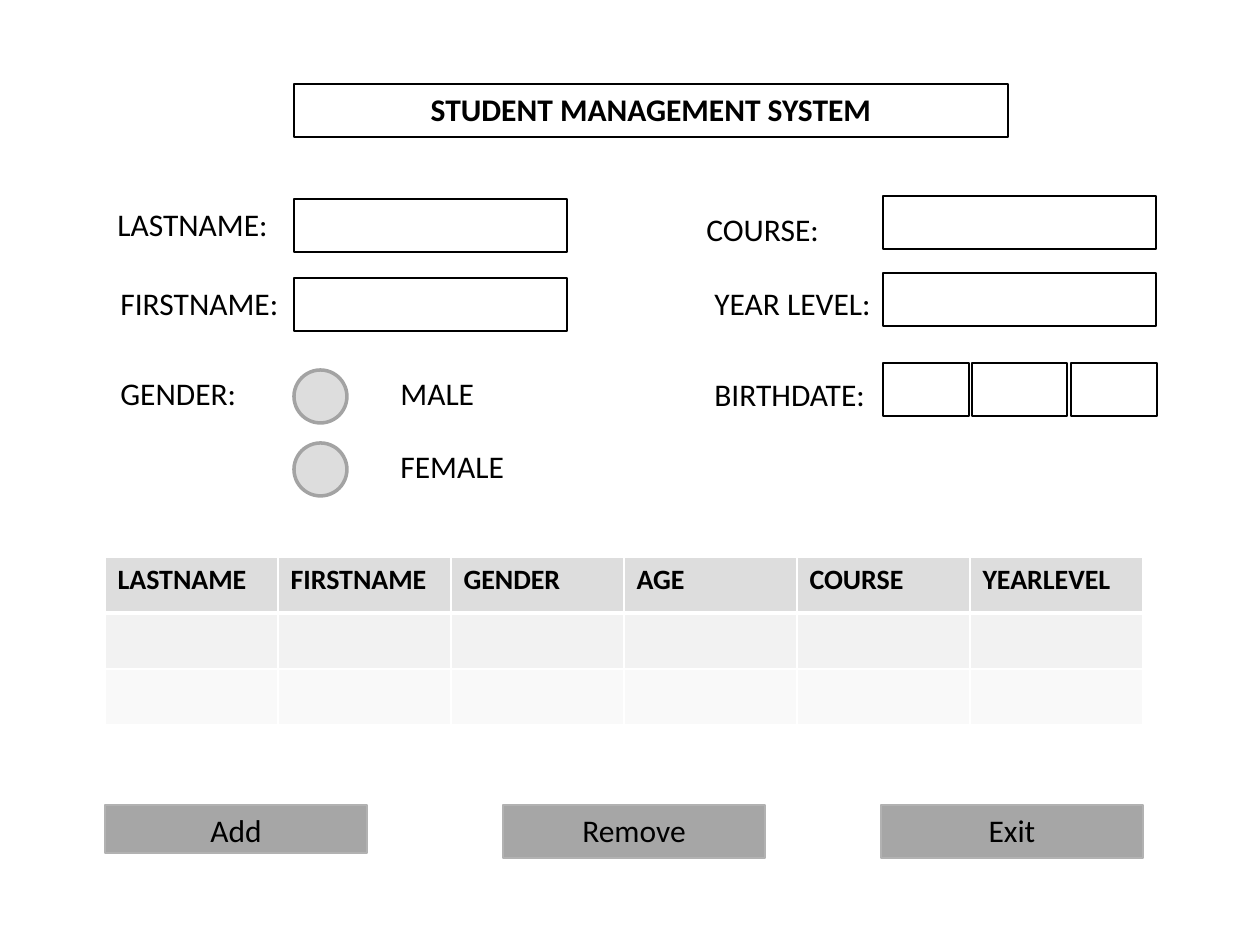
from pptx import Presentation
from pptx.dml.color import RGBColor
from pptx.enum.shapes import MSO_SHAPE as Kind
from pptx.enum.text import MSO_ANCHOR as Anchor, MSO_AUTO_SIZE as Fit, PP_ALIGN as Align
from pptx.oxml import parse_xml
from pptx.oxml.ns import nsdecls
from pptx.util import Pt

SCALE = 914400 / 126
THEME = {
    "font": "Calibri", "text": 18, "head": 16,
    "ink": RGBColor.from_string("000000"),
    "button": RGBColor.from_string("A6A6A6"),
    "edge": RGBColor.from_string("B2B2B2"),
    "radio": RGBColor.from_string("DDDDDD"),
    "ring": RGBColor.from_string("A3A3A3"),
    "rows": [RGBColor.from_string(c) for c in ("DDDDDD", "F2F2F2", "F9F9F9")],
    "grid": "FFFFFF",
}


def emu(*sizes):
    return [round(n * SCALE) for n in sizes]


def write(frame, text, size=THEME["text"], bold=False, align=Align.LEFT):
    frame.word_wrap = True
    frame.vertical_anchor = Anchor.TOP
    para = frame.paragraphs[0]
    para.alignment = align
    run = para.add_run()
    run.text = text
    run.font.name = THEME["font"]
    run.font.size = Pt(size)
    run.font.bold = bold
    run.font.color.rgb = THEME["ink"]


deck = Presentation()
deck.slide_width, deck.slide_height = emu(1260, 945)
slide = deck.slides.add_slide(deck.slide_layouts[5])
shapes = slide.shapes

# Title
title = shapes.title
title.left, title.top, title.width, title.height = emu(294, 84, 714, 53)
title.text_frame.auto_size = Fit.NONE
title.line.color.rgb = THEME["ink"]
title.line.width = Pt(0.75)
write(title.text_frame, "STUDENT MANAGEMENT SYSTEM", bold=True, align=Align.CENTER)

# Field labels
labels = [
    ("LASTNAME:", 105, 199, 189), ("FIRSTNAME:", 108, 278, 220),
    ("GENDER:", 108, 368, 220), ("MALE", 388, 368, 179),
    ("FEMALE", 388, 441, 179), ("COURSE:", 694, 204, 189),
    ("YEAR LEVEL:", 702, 278, 189), ("BIRTHDATE:", 702, 369, 189),
]
for text, x, y, w in labels:
    label = shapes.add_textbox(*emu(x, y, w, 53))
    write(label.text_frame, text)

# Input boxes, radio buttons and push buttons
inputs = [
    (294, 199, 273), (294, 278, 273), (883, 196, 273), (883, 273, 273),
    (883, 363, 86), (972, 363, 95), (1071, 363, 86),
]
buttons = [("Add", 105, 48), ("Remove", 503, 53), ("Exit", 881, 53)]
parts = [(Kind.RECTANGLE, (x, y, w, 53), None, "ink", 0.75, "") for x, y, w in inputs]
parts += [(Kind.OVAL, (294, y, 53, 53), "radio", "ring", 2, "") for y in (370, 443)]
parts += [(Kind.RECTANGLE, (x, 805, 262, h), "button", "edge", 0.75, text)
          for text, x, h in buttons]
for kind, box, fill, line, width, text in parts:
    shape = shapes.add_shape(kind, *emu(*box))
    shape.shadow.inherit = False
    if fill:
        shape.fill.solid()
        shape.fill.fore_color.rgb = THEME[fill]
    else:
        shape.fill.background()
    shape.line.color.rgb = THEME[line]
    shape.line.width = Pt(width)
    if text:
        write(shape.text_frame, text, align=Align.CENTER)

# Student table
heads = ["LASTNAME", "FIRSTNAME", "GENDER", "AGE", "COURSE", "YEARLEVEL"]
table = shapes.add_table(3, len(heads), *emu(105, 557, 1038, 168)).table
for r, color in enumerate(THEME["rows"]):
    for c, head in enumerate(heads):
        cell = table.cell(r, c)
        cell.fill.solid()
        cell.fill.fore_color.rgb = color
        if r == 0:
            write(cell.text_frame, head, size=THEME["head"], bold=True)
        # White grid, thicker under the header
        thick = {(0, "B"): 3, (1, "T"): 3}
        for i, side in enumerate("LRTB"):
            width = Pt(thick.get((r, side), 1))
            cell._tc.get_or_add_tcPr().insert(i, parse_xml(
                f'<a:ln{side} {nsdecls("a")} w="{width}"><a:solidFill>'
                f'<a:srgbClr val="{THEME["grid"]}"/></a:solidFill></a:ln{side}>'))

deck.save("out.pptx")
